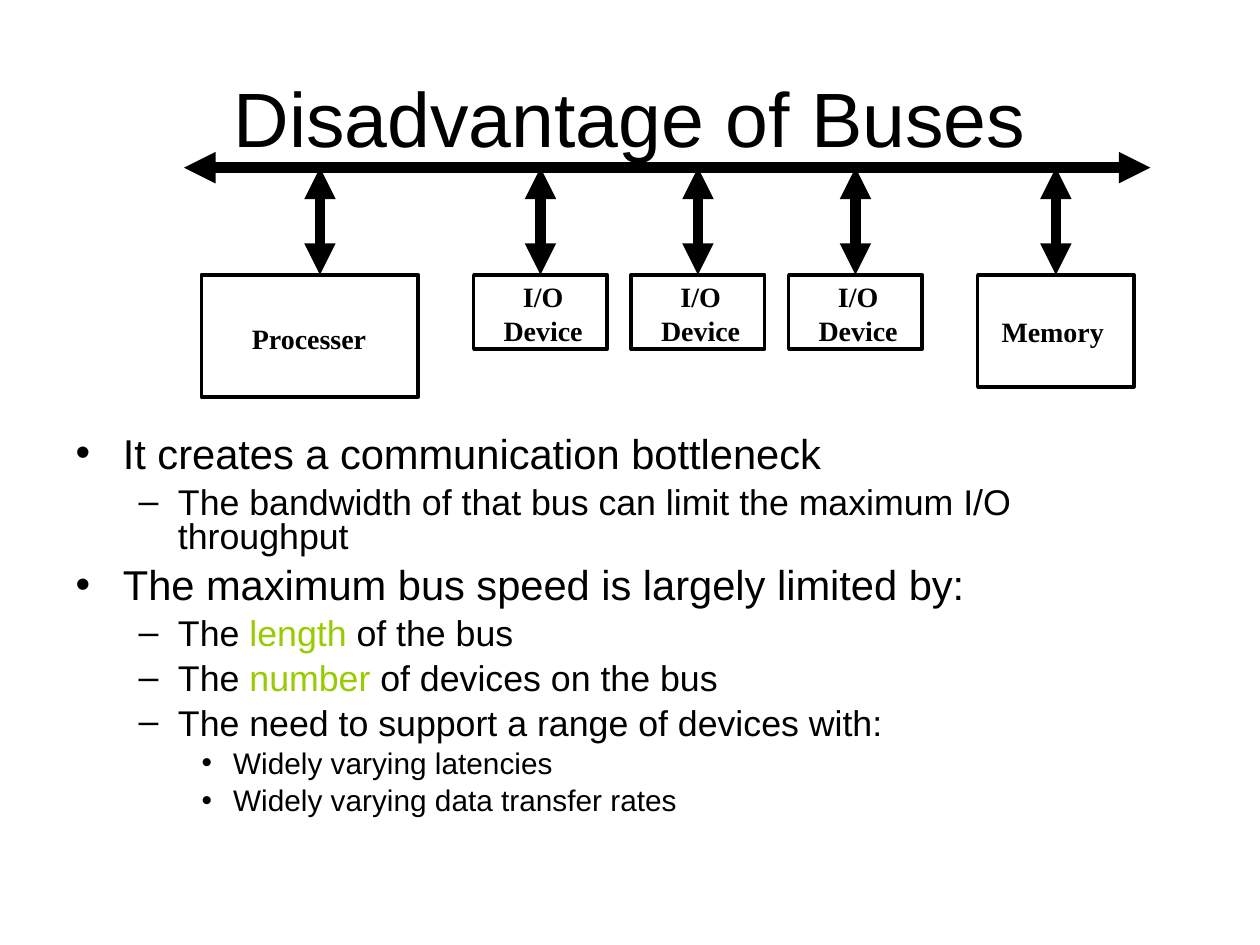
from pptx import Presentation
from pptx.dml.color import RGBColor
from pptx.enum.shapes import MSO_CONNECTOR, MSO_SHAPE
from pptx.enum.text import MSO_ANCHOR, MSO_AUTO_SIZE, PP_ALIGN
from pptx.oxml.ns import qn
from pptx.util import Cm, Pt
from lxml import etree

RECT = MSO_SHAPE.RECTANGLE
LINE = MSO_CONNECTOR.STRAIGHT
LEFT, MID = PP_ALIGN.LEFT, PP_ALIGN.CENTER
FIXED = MSO_AUTO_SIZE.NONE

THEME = {
    "ink": RGBColor(0, 0, 0),
    "mark": RGBColor(0x99, 0xCC, 0),
    "sans": "Arial",
    "serif": "Times New Roman",
    "title": 44,
    "label": 16,
    "levels": [(23.8, 7), (20.4, 6), (17, 5)],
    "box": 2,
    "bus": 6,
}

TITLE = "Disadvantage of Buses"
POINTS = [
    (0, ["It creates a communication bottleneck"]),
    (1, ["The bandwidth of that bus can limit the maximum I/O throughput"]),
    (0, ["The maximum bus speed is largely limited by:"]),
    (1, ["The ", "length", " of the bus"]),
    (1, ["The ", "number", " of devices on the bus"]),
    (1, ["The need to support a range of devices with:"]),
    (2, ["Widely varying latencies"]),
    (2, ["Widely varying data transfer rates"]),
]

BUS = (3.71, 23.19, 3.38)
TOP = 5.54
STEP = 3.175
UNITS = [
    ("Processer", (4.06, 4.37, 2.46), (0.77, 0.81, 2.95, 0.91), LEFT, 6.45),
    *[
        ("I/O Device", (9.55 + i * STEP, 2.69, 1.5), (0.08, -0.03, 2.64, 1.6), MID, None)
        for i in range(3)
    ],
    ("Memory", (19.71, 3.15, 2.26), (0.23, 0.68, 2.79, 0.91), LEFT, None),
]


def style(font, face, size, bold=False):
    font.name = face
    font.size = Pt(size)
    font.bold = bold
    font.color.rgb = THEME["ink"]


def place(shape, *area):
    shape.left, shape.top, shape.width, shape.height = map(Cm, area)


def arrow(slide, x1, y1, x2, y2):
    link = slide.shapes.add_connector(LINE, Cm(x1), Cm(y1), Cm(x2), Cm(y2))
    link.line.color.rgb = THEME["ink"]
    link.line.width = Pt(THEME["bus"])
    ln = link.line._get_or_add_ln()
    for end in ("a:headEnd", "a:tailEnd"):
        etree.SubElement(ln, qn(end), type="triangle")
    etree.SubElement(link._element.spPr, qn("a:effectLst"))
    return link


def unit(slide, name, box, label, align, drop):
    x, wide, high = box
    rect = slide.shapes.add_shape(RECT, Cm(x), Cm(TOP), Cm(wide), Cm(high))
    rect.shadow.inherit = False
    rect.fill.background()
    rect.line.color.rgb = THEME["ink"]
    rect.line.width = Pt(THEME["box"])

    dx, dy, w, h = label
    text = slide.shapes.add_textbox(Cm(x + dx), Cm(TOP + dy), Cm(w), Cm(h))
    text.text_frame.word_wrap = True
    para = text.text_frame.paragraphs[0]
    para.text = name
    para.alignment = align
    style(para.font, THEME["serif"], THEME["label"], True)

    mid = drop or x + wide / 2
    link = arrow(slide, mid, BUS[2], mid, TOP)
    if drop is None:
        link.end_connect(rect, 0)


def head(slide):
    shape = slide.shapes.title
    place(shape, 1.27, 0.76, 22.86, 3.18)
    frame = shape.text_frame
    frame.auto_size = FIXED
    frame.vertical_anchor = MSO_ANCHOR.MIDDLE
    para = frame.paragraphs[0]
    para.text = TITLE
    para.alignment = MID
    style(para.font, THEME["sans"], THEME["title"])


def body(slide):
    shape = slide.placeholders[1]
    place(shape, 1.27, 8.69, 22.86, 7.19)
    frame = shape.text_frame
    frame.auto_size = FIXED
    for i, (level, parts) in enumerate(POINTS):
        para = frame.add_paragraph() if i else frame.paragraphs[0]
        size, gap = THEME["levels"][level]
        para.level = level
        para.line_spacing = 0.8
        para.space_before = Pt(gap if i else 0)
        style(para.font, THEME["sans"], size)
        for j, part in enumerate(parts):
            run = para.add_run()
            run.text = part
            if j == 1:
                run.font.color.rgb = THEME["mark"]


def main():
    deck = Presentation()
    deck.slide_width, deck.slide_height = Cm(25.4), Cm(19.05)
    slide = deck.slides.add_slide(deck.slide_layouts[1])
    left, right, y = BUS
    arrow(slide, left, y, right, y)
    for item in UNITS:
        unit(slide, *item)
    head(slide)
    body(slide)
    deck.save("out.pptx")


if __name__ == "__main__":
    main()
